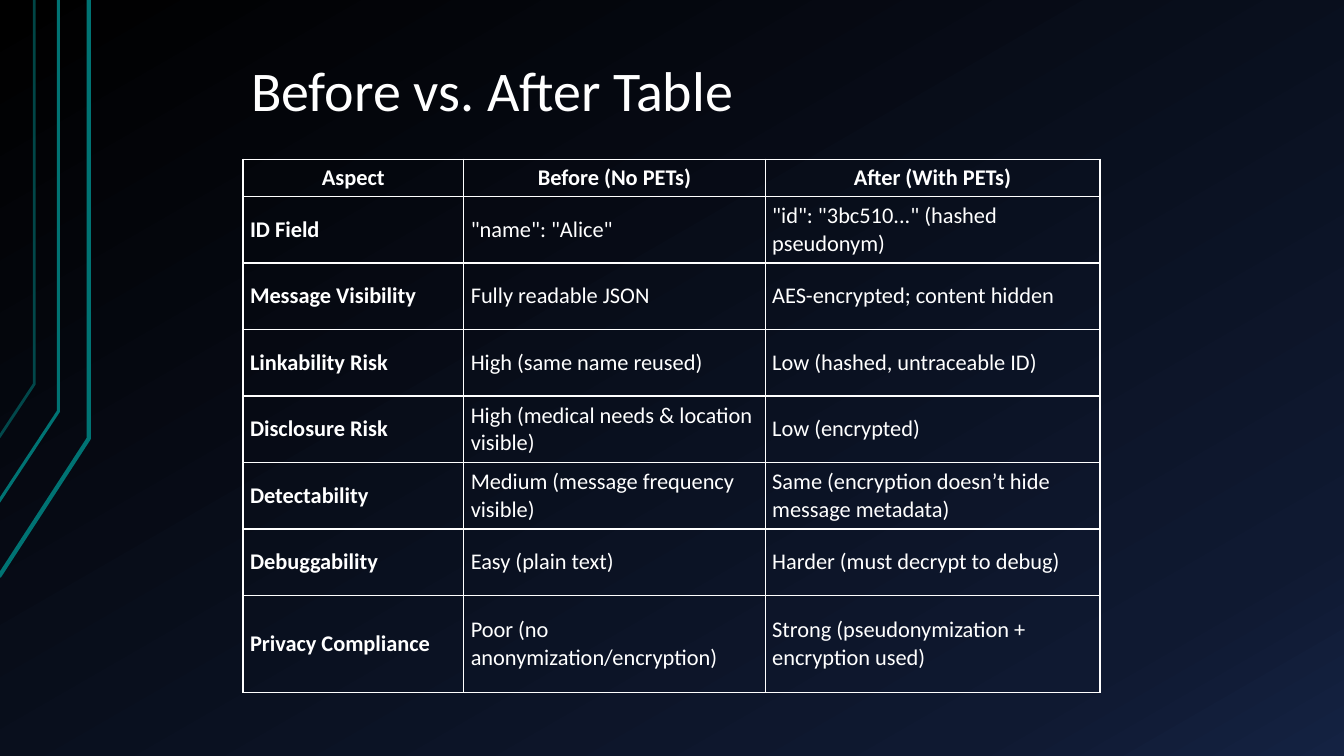
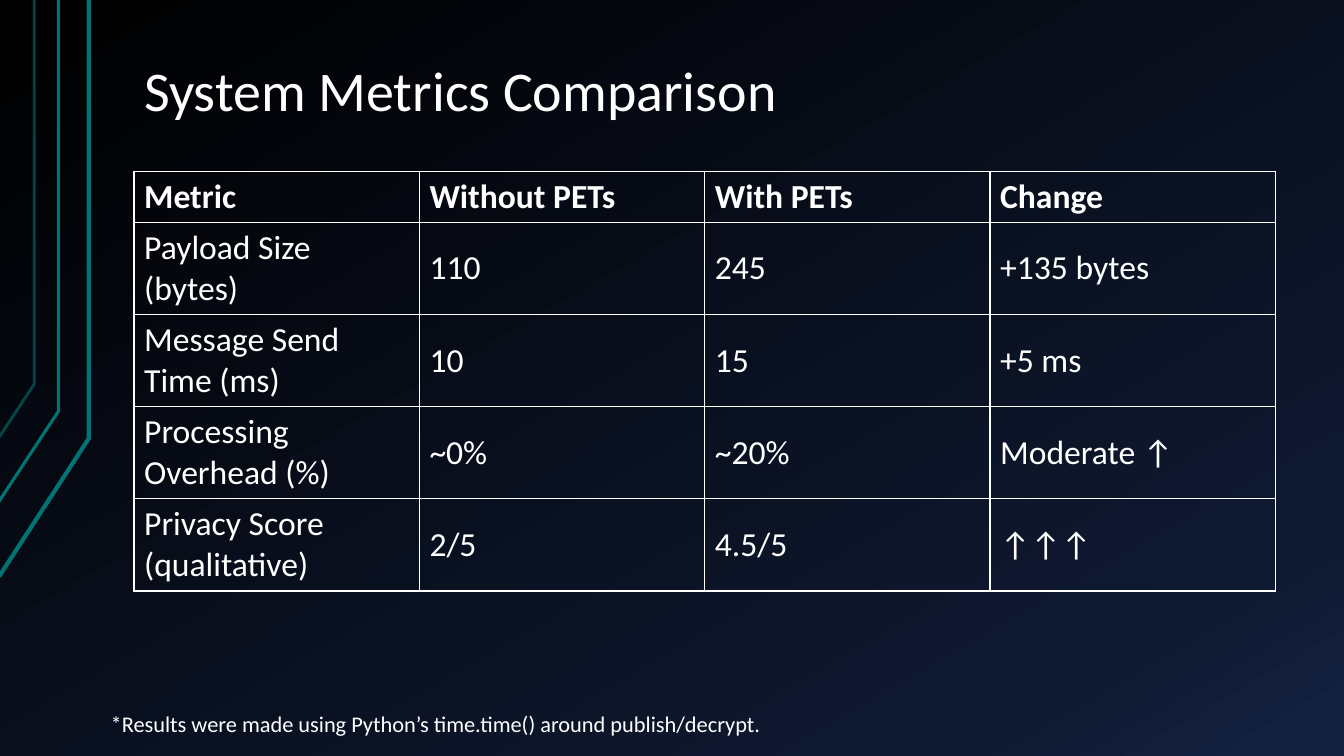
from copy import deepcopy
from dataclasses import dataclass

from lxml import etree
from pptx import Presentation
from pptx import util as u
from pptx.dml import color
from pptx.enum import text
from pptx.oxml import ns

COLORS = {"text": "FFFFFF", "border": "FFFFFF", "teal": "007373"}
BACKGROUND_STOPS = [(0, "000000"), (0.85, "0F1931"), (1, "142242")]
FONT = "Calibri"
LEFT, CENTER = text.PP_ALIGN.LEFT, text.PP_ALIGN.CENTER
TITLE_ONLY = 5


@dataclass(frozen=True)
class Stroke:
    points: list[tuple[float, float]]
    width: float
    opacity: int = 100


@dataclass(frozen=True)
class TableSpec:
    left: float
    top: float
    columns: list[float]
    heights: list[float]
    rows: list[tuple[str, ...]]
    size: int
    margins: tuple[float, float] = (0.1, 0.05)
    header_align: text.PP_ALIGN = LEFT
    bold_first_column: bool = False


STROKES = [
    Stroke([(-0.01, 5.72), (0.88, 4.35), (0.88, 0)], 3),
    Stroke([(-0.02, 4.99), (0.58, 4.08), (0.58, 0)], 2.25),
    Stroke([(-0.01, 4.34), (0.34, 3.81), (0.34, 0)], 2, opacity=60),
]

BEFORE_AFTER = TableSpec(
    left=2.41, top=1.58,
    columns=[2.19, 2.99, 3.32],
    heights=[0.37] + [0.66] * 6 + [0.96],
    size=16, margins=(0.07, 0.03), header_align=CENTER, bold_first_column=True,
    rows=[
        ("Aspect", "Before (No PETs)", "After (With PETs)"),
        ("ID Field", '"name": "Alice"', '"id": "3bc510..." (hashed pseudonym)'),
        ("Message Visibility", "Fully readable JSON", "AES-encrypted; content hidden"),
        ("Linkability Risk", "High (same name reused)", "Low (hashed, untraceable ID)"),
        ("Disclosure Risk", "High (medical needs & location visible)", "Low (encrypted)"),
        ("Detectability", "Medium (message frequency visible)",
         "Same (encryption doesn’t hide message metadata)"),
        ("Debuggability", "Easy (plain text)", "Harder (must decrypt to debug)"),
        ("Privacy Compliance", "Poor (no anonymization/encryption)",
         "Strong (pseudonymization + encryption used)"),
    ],
)

METRICS = TableSpec(
    left=1.33, top=1.7,
    columns=[2.83] * 4,
    heights=[0.5] + [0.91] * 4,
    size=24,
    rows=[
        ("Metric", "Without PETs", "With PETs", "Change"),
        ("Payload Size (bytes)", "110", "245", "+135 bytes"),
        ("Message Send Time (ms)", "10", "15", "+5 ms"),
        ("Processing Overhead (%)", "~0%", "~20%", "Moderate ↑"),
        ("Privacy Score (qualitative)", "2/5", "4.5/5", "↑↑↑"),
    ],
)


def rgb(name: str) -> color.RGBColor:
    return color.RGBColor.from_string(COLORS[name])


def write(frame, words: str, *, size: float, bold: bool = False, align=LEFT) -> None:
    frame.word_wrap = True
    para = frame.paragraphs[0]
    para.alignment = align
    span = para.add_run()
    span.text = words
    span.font.name = FONT
    span.font.size = u.Pt(size)
    span.font.bold = bold
    span.font.color.rgb = rgb("text")


def paint_background(master) -> None:
    fill = master.background.fill
    fill.gradient()
    fill.gradient_angle = 300
    first = master.element.find(".//" + ns.qn("p:bgPr")).find(".//" + ns.qn("a:gs"))
    first.addnext(deepcopy(first))
    for stop, (position, value) in zip(fill.gradient_stops, BACKGROUND_STOPS):
        stop.position = position
        stop.color.rgb = color.RGBColor.from_string(value)


def draw_stroke(page, stroke: Stroke) -> None:
    start, *rest = [(u.Inches(x), u.Inches(y)) for x, y in stroke.points]
    builder = page.shapes.build_freeform(*start)
    builder.add_line_segments(rest, close=False)
    shape = builder.convert_to_shape()
    shape.shadow.inherit = False
    shape.fill.background()
    shape.line.width = u.Pt(stroke.width)
    shape.line.color.rgb = rgb("teal")
    if stroke.opacity < 100:
        tint = shape.line._get_or_add_ln().find(".//" + ns.qn("a:srgbClr"))
        etree.SubElement(tint, ns.qn("a:alpha"), val=str(stroke.opacity * 1000))


def add_page(deck, title: str, title_left: float):
    page = deck.slides.add_slide(deck.slide_layouts[TITLE_ONLY])
    for stroke in STROKES:
        draw_stroke(page, stroke)
    box = page.shapes.title
    box.left, box.top = u.Inches(title_left), u.Inches(0.5)
    box.width, box.height = u.Inches(6.68), u.Inches(0.77)
    box.text_frame.auto_size = text.MSO_AUTO_SIZE.NONE
    box.text_frame.vertical_anchor = text.MSO_ANCHOR.TOP
    write(box.text_frame, title, size=40)
    return page


def outline(cell) -> None:
    properties = cell._tc.get_or_add_tcPr()
    for index, side in enumerate("LRTB"):
        line = etree.Element(ns.qn(f"a:ln{side}"), w=str(u.Pt(1)))
        solid = etree.SubElement(line, ns.qn("a:solidFill"))
        etree.SubElement(solid, ns.qn("a:srgbClr"), val=COLORS["border"])
        properties.insert(index, line)


def draw_table(page, spec: TableSpec) -> None:
    table = page.shapes.add_table(
        len(spec.rows), len(spec.columns), u.Inches(spec.left), u.Inches(spec.top),
        u.Inches(sum(spec.columns)), u.Inches(sum(spec.heights)),
    ).table
    table.first_row = table.horz_banding = False
    for column, width in zip(table.columns, spec.columns):
        column.width = u.Inches(width)
    for row, height in zip(table.rows, spec.heights):
        row.height = u.Inches(height)
    side, end = (u.Inches(margin) for margin in spec.margins)
    for r, row_words in enumerate(spec.rows):
        for c, words in enumerate(row_words):
            cell = table.cell(r, c)
            cell.margin_left = cell.margin_right = side
            cell.margin_top = cell.margin_bottom = end
            cell.vertical_anchor = text.MSO_ANCHOR.MIDDLE
            cell.fill.background()
            outline(cell)
            write(cell.text_frame, words, size=spec.size,
                  bold=r == 0 or (c == 0 and spec.bold_first_column),
                  align=spec.header_align if r == 0 else LEFT)


def add_footnote(page, words: str) -> None:
    box = page.shapes.add_textbox(u.Inches(1), u.Inches(7), u.Inches(6.67), u.Inches(0.37))
    write(box.text_frame, words, size=16)


def main() -> None:
    deck = Presentation()
    deck.slide_width, deck.slide_height = u.Inches(13.33), u.Inches(7.5)
    paint_background(deck.slide_master)

    page = add_page(deck, "Before vs. After Table", title_left=2.39)
    draw_table(page, BEFORE_AFTER)

    page = add_page(deck, "System Metrics Comparison", title_left=1.33)
    draw_table(page, METRICS)
    add_footnote(page, "*Results were made using Python’s time.time() around publish/decrypt.")

    deck.save("out.pptx")


if __name__ == "__main__":
    main()
